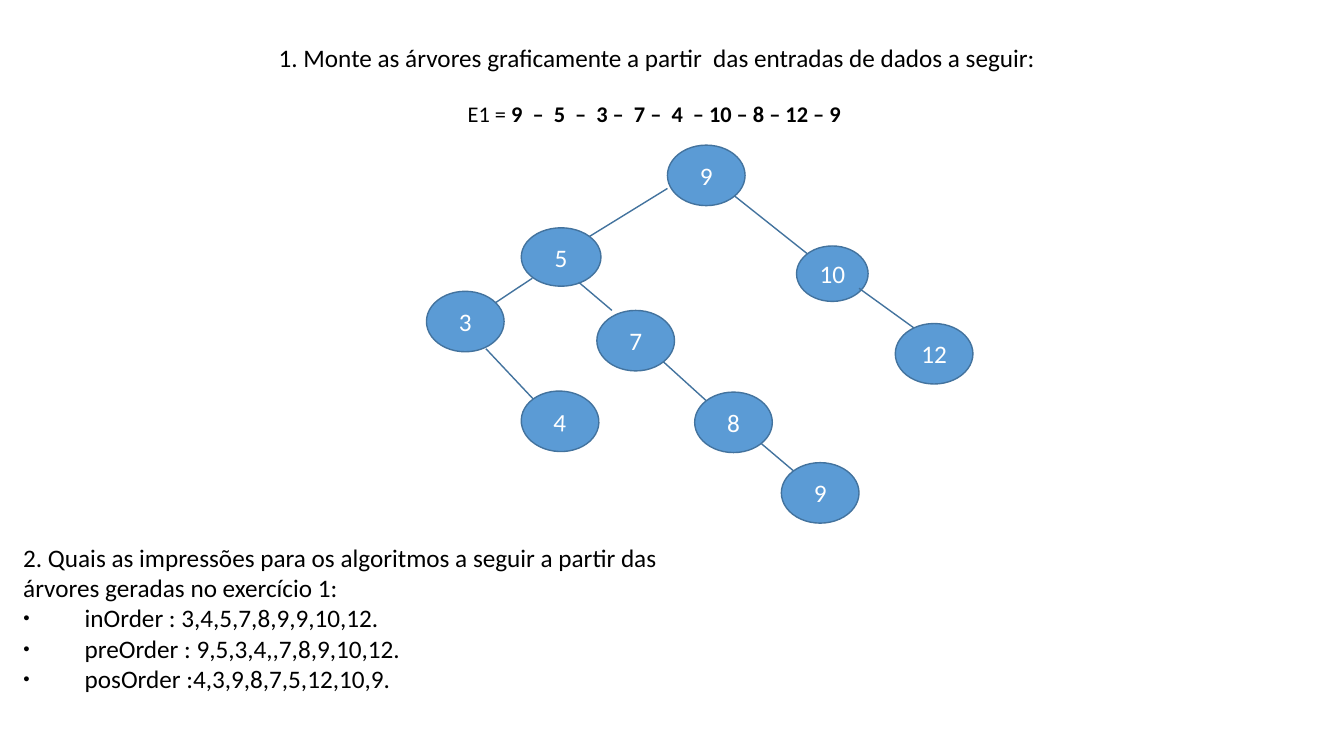
from dataclasses import dataclass
from typing import Optional

from lxml import etree
from pptx import Presentation
from pptx.dml.color import RGBColor
from pptx.enum.shapes import MSO_CONNECTOR, MSO_SHAPE
from pptx.enum.text import MSO_ANCHOR, MSO_AUTO_SIZE, PP_ALIGN
from pptx.oxml.ns import qn
from pptx.util import Inches, Pt

LINE = MSO_CONNECTOR.STRAIGHT
OVAL = MSO_SHAPE.OVAL
TOP = MSO_ANCHOR.TOP
MIDDLE = MSO_ANCHOR.MIDDLE
NO_FIT = MSO_AUTO_SIZE.NONE
LEFT = PP_ALIGN.LEFT
CENTER = PP_ALIGN.CENTER

FONT = "Calibri"
BLACK, WHITE = "000000", "FFFFFF"
BLUE, EDGE = "5B9BD5", "43739E"


@dataclass
class Link:
    x1: float
    y1: float
    x2: float
    y2: float


@dataclass
class Node:
    key: str
    x: float
    y: float
    link: Optional[Link] = None
    w: float = 0.77
    h: float = 0.6
    turn: float = 0


TREE = [
    Node("9", 6.62, 1.44),
    Node("5", 5.17, 2.26, Link(6.62, 1.87, 5.84, 2.35), 0.79, 0.58),
    Node("3", 4.23, 2.89, Link(5.28, 2.76, 4.89, 3.02)),
    Node("4", 5.17, 3.88, Link(4.82, 3.46, 5.29, 3.96), turn=2.5),
    Node("7", 5.92, 3.08, Link(5.74, 2.8, 6.07, 3.08)),
    Node("8", 6.89, 3.89, Link(6.58, 3.59, 7.01, 3.98)),
    Node("9", 7.75, 4.59, Link(7.55, 4.4, 8.01, 4.79)),
    Node("10", 7.9, 2.44, Link(7.28, 1.94, 8.01, 2.52), 0.71, 0.55),
    Node("12", 8.88, 3.21, Link(8.52, 2.86, 9.24, 3.38)),
]
ORDERS = [
    "inOrder : 3,4,5,7,8,9,9,10,12.",
    "preOrder : 9,5,3,4,,7,8,9,10,12.",
    "posOrder :4,3,9,8,7,5,12,10,9.",
]


def color(code: str) -> RGBColor:
    return RGBColor.from_string(code)


def add_run(para, text: str, size: float = 18, bold: bool = False, code: str = BLACK) -> None:
    run = para.add_run()
    run.text = text
    run.font.name = FONT
    run.font.size = Pt(size)
    run.font.bold = bold
    run.font.color.rgb = color(code)


def set_para(para, align, gap: float = 0) -> None:
    para.alignment = align
    para.line_spacing = 1.0
    para.space_before = Pt(gap)
    para.space_after = Pt(0)


def set_mark(para, mark: str = "") -> None:
    props = para._p.get_or_add_pPr()
    dent = Inches(0.61) if mark else 0
    props.set("marL", str(dent))
    props.set("indent", str(-dent))
    if mark:
        etree.SubElement(props, qn("a:buSzPct")).set("val", "45000")
        etree.SubElement(props, qn("a:buChar")).set("char", mark)
    else:
        etree.SubElement(props, qn("a:buNone"))


def place(shape, x: float, y: float, w: float, h: float):
    shape.left, shape.top = Inches(x), Inches(y)
    shape.width, shape.height = Inches(w), Inches(h)
    frame = shape.text_frame
    frame.word_wrap = True
    frame.auto_size = NO_FIT
    frame.vertical_anchor = TOP
    return frame


def add_title(slide) -> None:
    frame = place(slide.shapes.title, 1.89, 0.37, 9.25, 1.25)
    head = frame.paragraphs[0]
    set_para(head, CENTER)
    add_run(head, "1. Monte as árvores graficamente a partir  das entradas de dados a seguir:")
    data = frame.add_paragraph()
    set_para(data, CENTER, 19.5)
    add_run(data, "E1 = ", 16)
    add_run(data, "9  –  5  –  3 –  7 –  4  – 10 – 8 – 12 – 9 ", 16, True)


def add_list(slide) -> None:
    frame = place(slide.placeholders[1], 0.13, 5.33, 6.67, 1.62)
    head = frame.paragraphs[0]
    set_para(head, LEFT)
    set_mark(head)
    add_run(head, "2. Quais as impressões para os algoritmos a seguir a partir das "
                  "árvores geradas no exercício 1:")
    for text in ORDERS:
        para = frame.add_paragraph()
        set_para(para, LEFT)
        set_mark(para, "●")
        add_run(para, text)


def add_link(slide, link: Link) -> None:
    ends = [Inches(v) for v in (link.x1, link.y1, link.x2, link.y2)]
    line = slide.shapes.add_connector(LINE, *ends)
    line.line.color.rgb = color(EDGE)
    line.line.width = Pt(1)
    etree.SubElement(line._element.spPr, qn("a:effectLst"))


def add_node(slide, node: Node) -> None:
    box = [Inches(v) for v in (node.x, node.y, node.w, node.h)]
    oval = slide.shapes.add_shape(OVAL, *box)
    oval.rotation = node.turn
    oval.shadow.inherit = False
    oval.fill.solid()
    oval.fill.fore_color.rgb = color(BLUE)
    oval.line.color.rgb = color(EDGE)
    oval.line.width = Pt(1)
    frame = oval.text_frame
    frame.vertical_anchor = MIDDLE
    para = frame.paragraphs[0]
    para.alignment = CENTER
    add_run(para, node.key, code=WHITE)


def main() -> None:
    deck = Presentation()
    deck.slide_width, deck.slide_height = Inches(13.33), Inches(7.5)
    slide = deck.slides.add_slide(deck.slide_layouts[1])
    add_title(slide)
    for node in TREE:
        if node.link:
            add_link(slide, node.link)
        add_node(slide, node)
    add_list(slide)
    deck.save("out.pptx")


if __name__ == "__main__":
    main()
